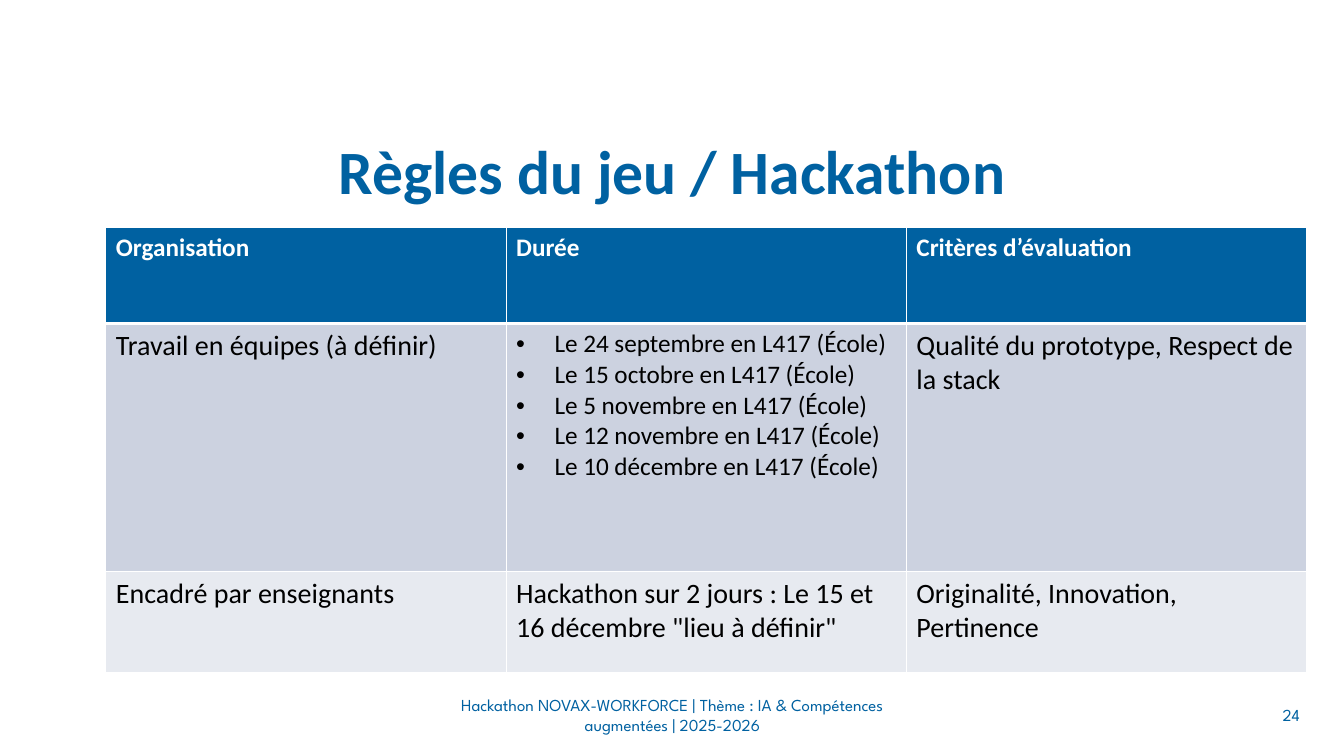
from lxml.etree import SubElement
from pptx import Presentation
from pptx.dml.color import RGBColor
from pptx.enum.text import MSO_ANCHOR, PP_ALIGN
from pptx.oxml.ns import qn
from pptx.util import Inches, Pt

BLUE, WHITE, BLACK = "0061A1", "FFFFFF", "000000"
ROW_FILLS = [BLUE, "CCD2E0", "E7EAF0"]

TITLE = "Règles du jeu / Hackathon"
FOOTER = "Hackathon NOVAX-WORKFORCE | Thème : IA & Compétences augmentées | 2025-2026"
PAGE_NUMBER = "24"
DAYS = ["24 septembre", "15 octobre", "5 novembre", "12 novembre", "10 décembre"]
SESSIONS = [f"Le {day} en L417 (École)" for day in DAYS]
RULES = [
    ["Organisation", "Durée", "Critères d’évaluation"],
    ["Travail en équipes (à définir)", SESSIONS, "Qualité du prototype, Respect de la stack"],
    ["Encadré par enseignants",
     'Hackathon sur 2 jours : Le 15 et 16 décembre "lieu à définir"',
     "Originalité, Innovation, Pertinence"],
]

SLIDE_WIDTH, SLIDE_HEIGHT = 13.33, 7.5
TABLE_LEFT, TABLE_TOP = 1.05, 2.26
COLUMN_WIDTH = 3.97
ROW_HEIGHTS = [0.95, 2.46, 1]
FOOTER_TOP, FOOTER_HEIGHT = 6.89, 0.4
BULLET_INDENT = 0.38


def color(value):
    return RGBColor.from_string(value)


def add_span(para, text, size, tint, font="Calibri", bold=False):
    span = para.add_run()
    span.text = text
    span.font.name = font
    span.font.size = Pt(size)
    span.font.bold = bold
    span.font.color.rgb = color(tint)


def add_text(page, area, text, align, size, **style):
    box = page.shapes.add_textbox(*map(Inches, area))
    frame = box.text_frame
    frame.word_wrap = True
    frame.vertical_anchor = MSO_ANCHOR.MIDDLE
    para = frame.paragraphs[0]
    para.alignment = align
    add_span(para, text, size, BLUE, **style)
    return para


def add_bullet(para):
    properties = para._p.get_or_add_pPr()
    properties.set("marL", str(Inches(BULLET_INDENT)))
    properties.set("indent", str(-Inches(BULLET_INDENT)))
    SubElement(properties, qn("a:buFont")).set("typeface", "Arial")
    SubElement(properties, qn("a:buChar")).set("char", "•")


def add_borders(cell, bottom_width):
    properties = cell._tc.get_or_add_tcPr()
    for side, width in (("L", 1), ("R", 1), ("T", 1), ("B", bottom_width)):
        line = SubElement(properties, qn(f"a:ln{side}"), w=str(Pt(width)))
        fill = SubElement(line, qn("a:solidFill"))
        SubElement(fill, qn("a:srgbClr"), val=WHITE)


def fill_cell(cell, content, row):
    header = row == 0
    add_borders(cell, 3 if header else 1)
    cell.fill.solid()
    cell.fill.fore_color.rgb = color(ROW_FILLS[row])
    bulleted = isinstance(content, list)
    size = 18 if header or bulleted else 20
    frame = cell.text_frame
    for index, text in enumerate(content if bulleted else [content]):
        para = frame.add_paragraph() if index else frame.paragraphs[0]
        if bulleted:
            add_bullet(para)
        add_span(para, text, size, WHITE if header else BLACK, bold=header)


def add_rules(page):
    columns = len(RULES[0])
    table = page.shapes.add_table(
        len(RULES), columns, Inches(TABLE_LEFT), Inches(TABLE_TOP),
        Inches(columns * COLUMN_WIDTH), Inches(sum(ROW_HEIGHTS))).table
    for column in table.columns:
        column.width = Inches(COLUMN_WIDTH)
    for row, contents in enumerate(RULES):
        table.rows[row].height = Inches(ROW_HEIGHTS[row])
        for column, content in enumerate(contents):
            fill_cell(table.cell(row, column), content, row)


def main():
    deck = Presentation()
    deck.slide_width, deck.slide_height = Inches(SLIDE_WIDTH), Inches(SLIDE_HEIGHT)
    page = deck.slides.add_slide(deck.slide_layouts[6])
    title = add_text(page, (0.37, 1.1, 12.6, 1.26), TITLE, PP_ALIGN.CENTER, 44, bold=True)
    title.line_spacing = 0.9
    for left, width, text, align in ((4.42, 4.5, FOOTER, PP_ALIGN.CENTER),
                                     (9.99, 3, PAGE_NUMBER, PP_ALIGN.RIGHT)):
        add_text(page, (left, FOOTER_TOP, width, FOOTER_HEIGHT), text, align, 12,
                 font="League Spartan")
    add_rules(page)
    deck.save("out.pptx")


if __name__ == "__main__":
    main()
